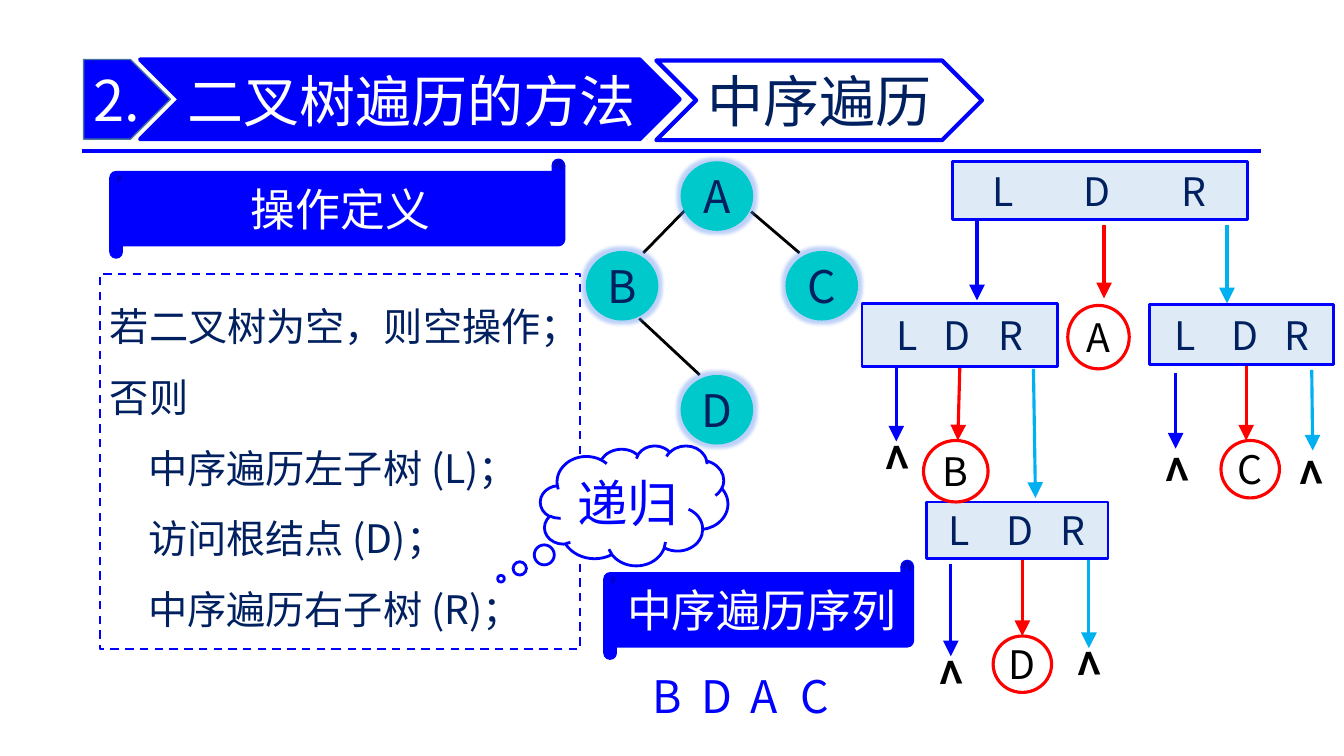
from lxml.etree import SubElement
from pptx import Presentation
from pptx.dml.color import RGBColor
from pptx.enum.dml import MSO_LINE
from pptx.enum.shapes import MSO_CONNECTOR, MSO_SHAPE
from pptx.enum.text import MSO_ANCHOR, MSO_AUTO_SIZE, PP_ALIGN
from pptx.oxml.ns import qn
from pptx.util import Inches, Pt

COLORS = {
    "blue": "0000FF", "chevron": "0000FA", "edge": "43739E", "navy": "002060",
    "pale": "DEEBF7", "teal": "00C9CB", "glow": "5B8DEF", "red": "FF0000",
    "sky": "00B0F0", "black": "000000", "white": "FFFFFF",
}
FONT = "Noto Sans CJK SC"
CELL = Inches(0.1)  # the slide is a grid of 133.3 columns by 75 rows

deck = Presentation()
deck.slide_width, deck.slide_height = Inches(13.33), Inches(7.5)
slide = deck.slides.add_slide(deck.slide_layouts[1])
shapes = slide.shapes


def cells(*counts):
    return [round(count * CELL) for count in counts]


def write(holder, text, size, color, stops=(), align=PP_ALIGN.CENTER, bold=False):
    """Set the text; stops are the columns, from the left edge, of tabbed letters."""
    frame = holder.text_frame
    frame.text = text
    frame.auto_size = MSO_AUTO_SIZE.NONE
    frame.vertical_anchor = MSO_ANCHOR.MIDDLE
    frame.word_wrap = bool(stops) or align == PP_ALIGN.LEFT
    for paragraph in frame.paragraphs:
        paragraph.alignment = PP_ALIGN.LEFT if stops else align
        if stops:
            frame.margin_left, frame.margin_right = cells(stops[0], 0)
            tabs = SubElement(paragraph._p.get_or_add_pPr(), qn("a:tabLst"))
            for stop in stops[1:]:
                SubElement(tabs, qn("a:tab"), pos=str(cells(stop - stops[0])[0]), algn="l")
        font = paragraph.font
        font.name, font.size, font.bold = FONT, Pt(size), bold
        font.color.rgb = RGBColor.from_string(COLORS[color])


# Definition list
definition = shapes.placeholders[1]
definition.left, definition.top, definition.width, definition.height = cells(9.9, 27.2, 47.6, 37.2)
definition.fill.solid()
definition.fill.fore_color.rgb = RGBColor.from_string(COLORS["white"])
definition.line.color.rgb = RGBColor.from_string(COLORS["blue"])
definition.line.width = Pt(1.5)
definition.line.dash_style = MSO_LINE.DASH
write(definition,
      "若二叉树为空，则空操作；\n否则\v中序遍历左子树 (L)；\v访问根结点 (D)；\v中序遍历右子树 (R)；",
      28, "navy", align=PP_ALIGN.LEFT)
definition.text_frame.vertical_anchor = MSO_ANCHOR.TOP
definition.text_frame.margin_right = 0
for paragraph in definition.text_frame.paragraphs:
    paragraph.line_spacing = 1.5
    paragraph.space_before = Pt(0)
    properties = paragraph._p.get_or_add_pPr()
    properties.set("marL", str(Inches(0.38)))
    properties.set("indent", str(-Inches(0.38)))
    properties.insert(2, properties.makeelement(qn("a:buNone")))

# Tree edges, then the header rule and the arrows of the traversal
tree_edges = [
    (67.9, 20.9, 63.8, 25.1), (74.5, 21, 79.3, 25.1), (63.4, 31.6, 69.4, 37.2),
]
left_arrows = [(96.9, 21.9, 96.9, 29.8), (88.9, 36.3, 88.9, 43.8),
               (94.3, 56, 94.3, 65.1), (116.6, 37, 116.6, 44.5)]
root_arrows = [(109.5, 22.3, 109.5, 29.6), (95.2, 36.4, 95, 43.7),
               (101.4, 55.6, 101.4, 63.1), (123.6, 36.2, 123.6, 43.7)]
right_arrows = [(121.7, 22.3, 121.7, 30.1), (102.5, 36.6, 102.7, 49.4),
                (108, 55.3, 108, 64.3), (130.1, 36.7, 130.2, 44.7)]
line_groups = [
    (tree_edges, "black", 2, False),
    ([(8.1, 15, 125.1, 15)], "blue", 3, False),
    (left_arrows, "blue", 2.25, True),
    (root_arrows, "red", 2.25, True),
    (right_arrows, "sky", 2.25, True),
]
drawn_lines = {}
for ends, color, width, has_head in line_groups:
    for span in ends:
        link = shapes.add_connector(MSO_CONNECTOR.STRAIGHT, *cells(*span))
        link.line.color.rgb = RGBColor.from_string(COLORS[color])
        link.line.width = Pt(width)
        properties = link.element.spPr
        if has_head:
            SubElement(properties.find(qn("a:ln")), qn("a:tailEnd"),
                       type="triangle", w="lg", len="lg")
        SubElement(properties, qn("a:effectLst"))
        drawn_lines[span] = link

# Every filled part: preset, place, fill, line, line width, text, size, color, tab stops
SCROLL, CHEVRON = MSO_SHAPE.HORIZONTAL_SCROLL, MSO_SHAPE.CHEVRON
parts = [
    (SCROLL, (10.9, 15.8, 45.1, 9.8), "blue", "blue", 1, "操作定义", 32, "white", ()),
    (MSO_SHAPE.CLOUD_CALLOUT, (53.6, 44.2, 18.6, 11.9), "white", "blue", 2, "递归", 36, "blue", ()),
    (SCROLL, (59.9, 55.6, 30.7, 9.8), "blue", "blue", 1, "中序遍历序列", 32, "white", ()),
    (CHEVRON, (65.1, 6, 32.3, 7.9), "white", "blue", 3, "中序遍历", 40, "navy", ()),
    (MSO_SHAPE.PENTAGON, (8.3, 5.9, 8.6, 7.9), "blue", "edge", 1, "2.", 40, "white", ()),
    (CHEVRON, (13.9, 5.9, 53.5, 7.9), "chevron", "blue", 3, "", 40, "white", ()),
]
tree_nodes = {"A": (67.5, 16), "B": (58.1, 24.9), "C": (77.9, 24.9), "D": (67.5, 37.2)}
for letter, corner in tree_nodes.items():
    parts.append((MSO_SHAPE.OVAL, (*corner, 7.2, 6.9), "teal", None, 0, letter, 32, "navy", ()))

order_boxes = [
    ((94.5, 16, 29.2, 5.8), (3.9, 13, 22.7)),
    ((85.5, 30.1, 19.4, 6.3), (3.4, 8.1, 13.5)),
    ((91.9, 49.8, 18, 5.6), (2.2, 7.9, 13.3)),
    ((114, 30.2, 18.3, 6), (2.5, 8.1, 13.4)),
]
for place, stops in order_boxes:
    parts.append((MSO_SHAPE.RECTANGLE, place, "pale", "blue", 2, "L\tD\tR", 28, "navy", stops))

visited = {"A": (105.9, 30.3, 6.1, 6.3), "B": (91.6, 43.7, 6.4, 6.1),
           "C": (121.1, 43.7, 5.8, 5.7), "D": (98.5, 63.1, 5.8, 5.6)}
for letter, place in visited.items():
    parts.append((MSO_SHAPE.OVAL, place, "white", "red", 2.25, letter, 28, "black", ()))

drawn_parts = {}
for preset, place, fill, line, width, text, size, color, stops in parts:
    part = shapes.add_shape(preset, *cells(*place))
    part.shadow.inherit = False
    part.fill.solid()
    part.fill.fore_color.rgb = RGBColor.from_string(COLORS[fill])
    if line:
        part.line.color.rgb = RGBColor.from_string(COLORS[line])
        part.line.width = Pt(width)
    else:  # tree nodes have a soft halo in place of an outline
        part.line.fill.background()
        effects = part.element.spPr.find(qn("a:effectLst"))
        glow = SubElement(effects, qn("a:glow"), rad=str(Pt(5)))
        halo = SubElement(glow, qn("a:srgbClr"), val=COLORS["glow"])
        SubElement(halo, qn("a:alpha"), val="40000")
    if preset == MSO_SHAPE.CLOUD_CALLOUT:
        part.adjustments[0], part.adjustments[1] = -0.71, 0.61
    if text:
        write(part, text, size, color, stops)
    drawn_parts[place] = part

# The left subtree's root arrow leaves the middle of its box
drawn_lines[root_arrows[1]].begin_connect(drawn_parts[order_boxes[1][0]], 2)

# Empty-subtree marks
for corner in [(86.8, 42.2), (105.8, 62.7), (92.1, 63.5), (127.9, 43.7), (114.6, 43.4)]:
    mark = shapes.add_textbox(*cells(*corner, 4.2, 6.4))
    mark.rotation = 268.3
    write(mark, ">", 32, "black", bold=True)

# Resulting sequence
sequence = shapes.add_textbox(*cells(63.7, 65.8, 30, 6.4))
write(sequence, "B\tD\tA\tC", 32, "blue", [1 + 4.9 * step for step in range(4)])

# Title, in front of its chevron
title = shapes.title
title.left, title.top, title.width, title.height = cells(18.2, 4.5, 46, 10.8)
write(title, "二叉树遍历的方法", 40, "white", align=PP_ALIGN.LEFT)
title.text_frame.margin_left, title.text_frame.margin_right = cells(0.4, 0)
title.element.getparent().append(title.element)

# East Asian text takes the same font
for latin in list(slide.element.iter(qn("a:latin"))):
    latin.addnext(latin.makeelement(qn("a:ea"), typeface=FONT))

deck.save("out.pptx")
